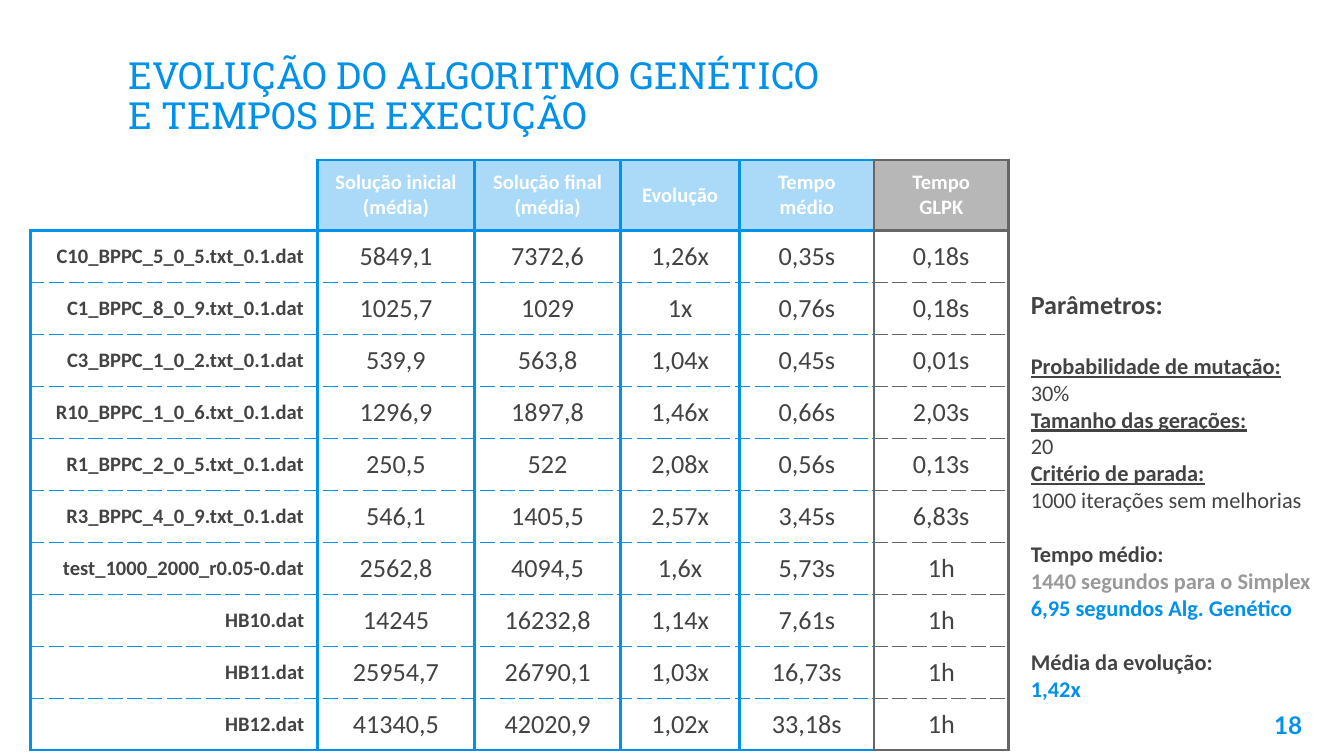
import dataclasses

import lxml.etree
import pptx
import pptx.dml.color
import pptx.enum.text
import pptx.oxml.ns
import pptx.util

Cm = pptx.util.Cm
Pt = pptx.util.Pt
qn = pptx.oxml.ns.qn
ALIGN = pptx.enum.text.PP_ALIGN
ANCHOR = pptx.enum.text.MSO_ANCHOR


@dataclasses.dataclass
class Theme:
    blue: str = "0091EA"
    ink: str = "434343"
    muted: str = "999999"
    frame: str = "666666"
    silver: str = "B7B7B7"
    white: str = "FFFFFF"
    heading_font: str = "Roboto Slab"
    body_font: str = "Calibri"
    number_font: str = "Lato"
    heading_size: int = 20
    value_size: int = 14
    number_size: int = 13
    text_size: int = 12
    label_size: int = 11
    thick: float = 1.5
    thin: float = 0.75
    header_alpha: int = 33


def apply(target, values):
    for name, value in values.items():
        setattr(target, name, value)


class SlideBuilder:
    def __init__(self, deck, theme):
        self.theme = theme
        self.page = deck.slides.add_slide(deck.slide_layouts[1])

    def place(self, box, left, top, width, height, anchor=ANCHOR.TOP):
        apply(box, dict(left=Cm(left), top=Cm(top), width=Cm(width), height=Cm(height)))
        inset = Cm(0.25)
        apply(box.text_frame, dict(
            word_wrap=True, auto_size=pptx.enum.text.MSO_AUTO_SIZE.NONE,
            vertical_anchor=anchor, margin_left=inset, margin_right=inset,
            margin_top=inset, margin_bottom=inset))

    def span(self, para, text, size, color, font=None, **look):
        span = para.add_run()
        span.text = text
        apply(span.font, dict(size=Pt(size), name=font or self.theme.body_font, **look))
        span.font.color.rgb = pptx.dml.color.RGBColor.from_string(color)

    def paragraphs(self, frame, count):
        return [frame.paragraphs[0]] + [frame.add_paragraph() for _ in range(count - 1)]

    def title(self, lines, *area):
        box = self.page.shapes.title
        self.place(box, *area, anchor=ANCHOR.MIDDLE)
        for para, line in zip(self.paragraphs(box.text_frame, len(lines)), lines):
            apply(para, dict(alignment=ALIGN.LEFT, line_spacing=0.9))
            self.span(para, line, self.theme.heading_size, self.theme.blue,
                      self.theme.heading_font)

    def body(self, entries, *area):
        box = self.page.placeholders[1]
        self.place(box, *area)
        for para, (before, spans) in zip(self.paragraphs(box.text_frame, len(entries)), entries):
            apply(para, dict(alignment=ALIGN.LEFT, space_before=Pt(before), space_after=Pt(0)))
            properties = para._p.get_or_add_pPr()
            properties.set("marL", "0")
            properties.set("indent", "0")
            lxml.etree.SubElement(properties, qn("a:buNone"))
            for text, size, color, look in spans:
                self.span(para, text, size, color, **look)

    def page_number(self, number, *area):
        box = self.page.shapes.add_textbox(0, 0, 0, 0)
        self.place(box, *area)
        para = box.text_frame.paragraphs[0]
        para.alignment = ALIGN.RIGHT
        self.span(para, number, self.theme.number_size, self.theme.blue,
                  self.theme.number_font, bold=True)

    def fill(self, cell, color, alpha=None):
        cell.fill.solid()
        cell.fill.fore_color.rgb = pptx.dml.color.RGBColor.from_string(color)
        if alpha:
            tint = next(cell._tc.tcPr.iter(qn("a:srgbClr")))
            lxml.etree.SubElement(tint, qn("a:alpha"), val=str(alpha * 1000))

    def borders(self, cell, sides):
        for index, (side, (color, dashed)) in enumerate(sides.items()):
            width = self.theme.thin if dashed else self.theme.thick
            line = lxml.etree.Element(qn(f"a:ln{side}"), w=str(Pt(width)))
            paint = lxml.etree.SubElement(line, qn("a:solidFill"))
            lxml.etree.SubElement(paint, qn("a:srgbClr"), val=color)
            lxml.etree.SubElement(line, qn("a:prstDash"), val="dash" if dashed else "solid")
            cell._tc.tcPr.insert(index, line)

    def table(self, rows, widths, left, top, row_height):
        theme = self.theme
        last_row, last_column = len(rows) - 1, len(widths) - 1
        grid = self.page.shapes.add_table(
            len(rows), len(widths), Cm(left), Cm(top),
            Cm(sum(widths)), Cm(row_height * len(rows))).table
        apply(grid, dict(first_row=False, horz_banding=False))
        for column, width in zip(grid.columns, widths):
            column.width = Cm(width)
        for r, row in enumerate(rows):
            for c, text in enumerate(row):
                cell = grid.cell(r, c)
                header, label, solver = r == 0, c == 0, c == last_column
                apply(cell, dict(
                    vertical_anchor=ANCHOR.MIDDLE, margin_left=Cm(0.25), margin_right=Cm(0.25),
                    margin_top=Cm(0.19), margin_bottom=Cm(0.19)))
                edge = theme.frame if solver else theme.blue
                right = theme.frame if c >= last_column - 1 else theme.blue
                sides = dict(L=(edge, False), R=(right, False),
                             T=(edge, r > 1), B=(edge, 0 < r < last_row))
                if header and label:
                    self.fill(cell, theme.white)
                    self.borders(cell, dict(R=sides["R"], B=sides["B"]))
                    continue
                if header and solver:
                    self.fill(cell, theme.silver)
                elif header:
                    self.fill(cell, theme.blue, theme.header_alpha)
                else:
                    self.fill(cell, theme.white)
                self.borders(cell, sides)
                lines = text.split("\n")
                strong = header or label
                for para, line in zip(self.paragraphs(cell.text_frame, len(lines)), lines):
                    para.alignment = ALIGN.RIGHT if label else ALIGN.CENTER
                    self.span(para, line, theme.label_size if strong else theme.value_size,
                              theme.white if header else theme.ink, bold=strong)


RESULTS = [
    ("", "Solução inicial (média)", "Solução final (média)", "Evolução", "Tempo médio",
     "Tempo\nGLPK"),
    ("C10_BPPC_5_0_5.txt_0.1.dat", "5849,1", "7372,6", "1,26x", "0,35s", "0,18s"),
    ("C1_BPPC_8_0_9.txt_0.1.dat", "1025,7", "1029", "1x", "0,76s", "0,18s"),
    ("C3_BPPC_1_0_2.txt_0.1.dat", "539,9", "563,8", "1,04x", "0,45s", "0,01s"),
    ("R10_BPPC_1_0_6.txt_0.1.dat", "1296,9", "1897,8", "1,46x", "0,66s", "2,03s"),
    ("R1_BPPC_2_0_5.txt_0.1.dat", "250,5", "522", "2,08x", "0,56s", "0,13s"),
    ("R3_BPPC_4_0_9.txt_0.1.dat", "546,1", "1405,5", "2,57x", "3,45s", "6,83s"),
    ("test_1000_2000_r0.05-0.dat", "2562,8", "4094,5", "1,6x", "5,73s", "1h"),
    ("HB10.dat", "14245", "16232,8", "1,14x", "7,61s", "1h"),
    ("HB11.dat", "25954,7", "26790,1", "1,03x", "16,73s", "1h"),
    ("HB12.dat", "41340,5", "42020,9", "1,02x", "33,18s", "1h"),
]


def main():
    theme = Theme()
    deck = pptx.Presentation()
    apply(deck, dict(slide_width=Cm(25.4), slide_height=Cm(14.29)))
    builder = SlideBuilder(deck, theme)

    def strong(text, color=theme.ink, size=theme.text_size, underline=False):
        return text, size, color, dict(bold=True, underline=underline)

    def plain(text):
        return text, theme.text_size, theme.ink, dict(bold=False)

    parameters = [
        (0, [strong("Parâmetros:", size=theme.value_size)]),
        (17, [strong("Probabilidade de mutação:", underline=True), plain(" 30%")]),
        (0, [strong("Tamanho das gerações:", underline=True)]),
        (0, [plain("20")]),
        (0, [strong("Critério de parada:", underline=True)]),
        (0, [plain("1000 iterações sem melhorias")]),
        (14.5, [strong("Tempo médio:")]),
        (0, [strong("1440 segundos para o Simplex", theme.muted)]),
        (0, [strong("6,95 segundos Alg. Genético", theme.blue)]),
        (14.5, [strong("Média da evolução:")]),
        (0, [strong("1,42x", theme.blue)]),
    ]
    builder.title(["EVOLUÇÃO DO ALGORITMO GENÉTICO", "E TEMPOS DE EXECUÇÃO"],
                  2.18, 0.86, 21.03, 1.96)
    builder.page_number("18", 23.34, 13.18, 1.52, 1.09)
    builder.body(parameters, 19.23, 5.21, 5.84, 7.34)
    builder.table(RESULTS, [5.42, 2.97, 2.76, 2.25, 2.54, 2.54], 0.58, 3.02, 0.94)
    deck.save("out.pptx")


if __name__ == "__main__":
    main()
